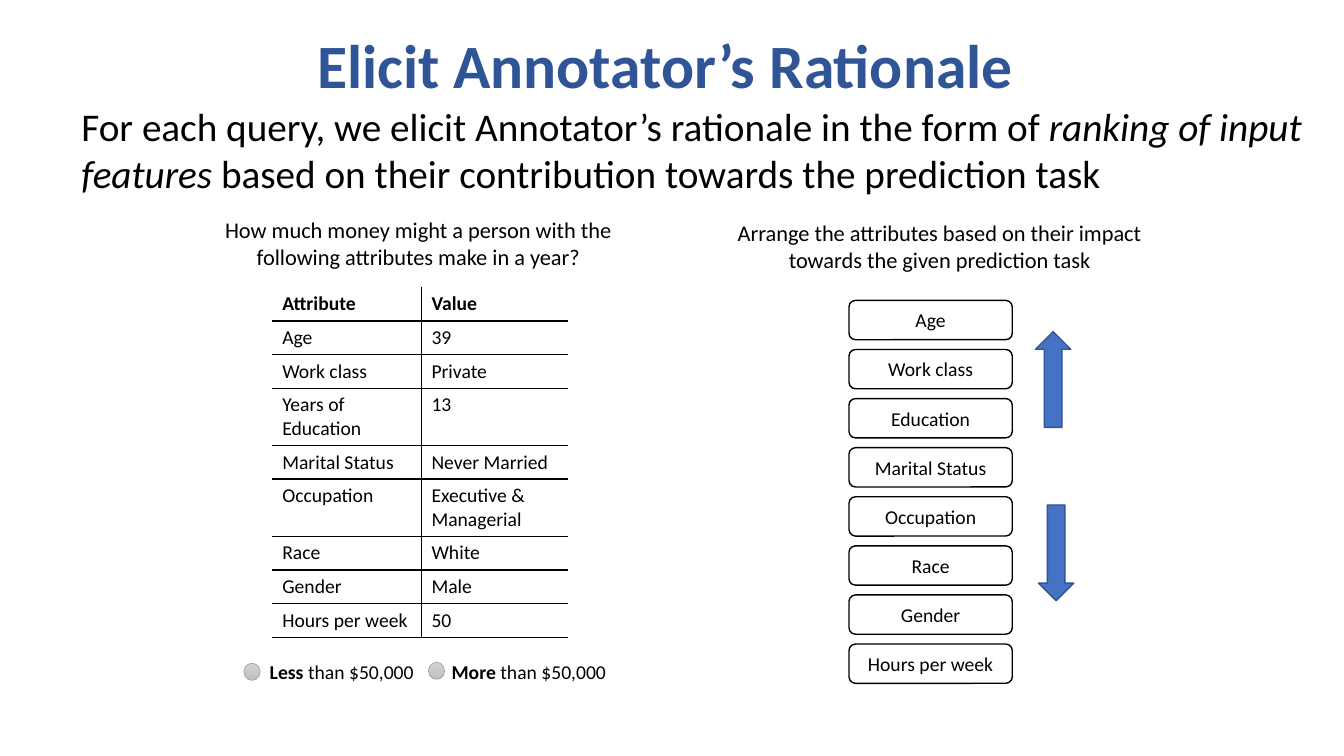
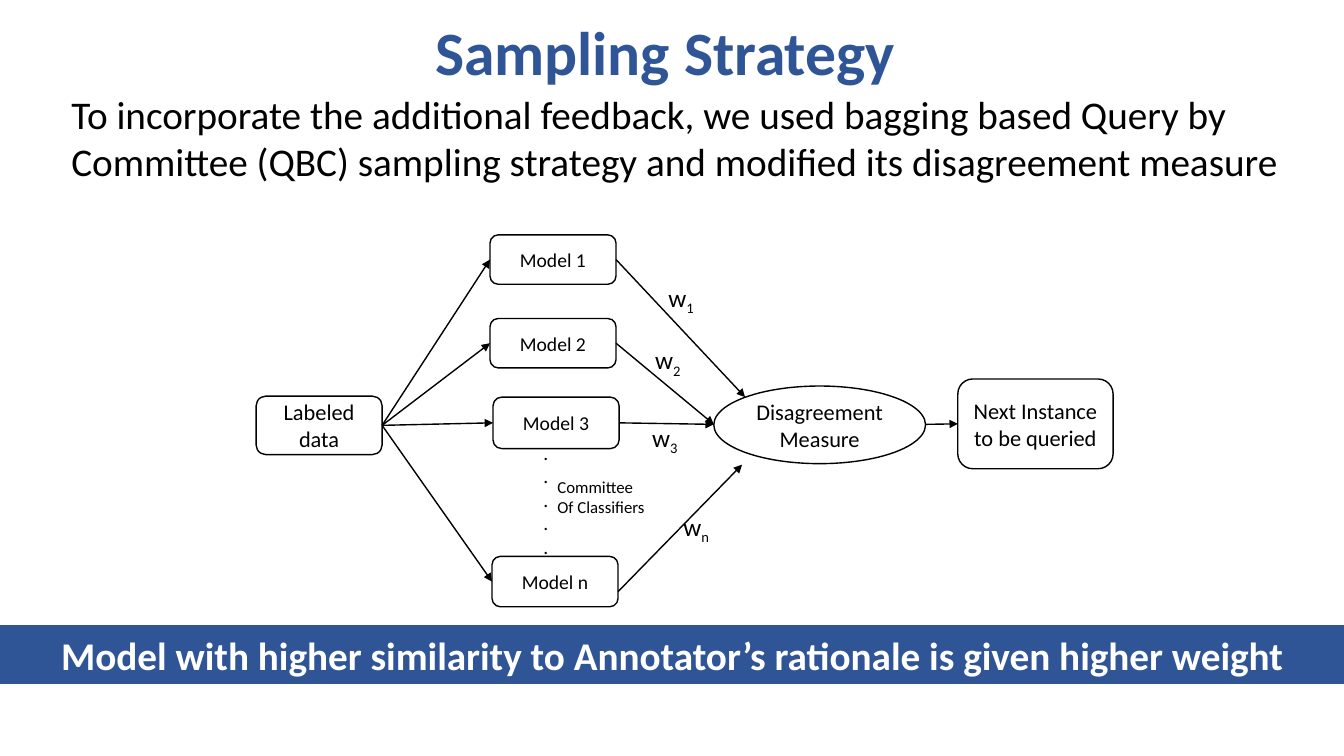
from lxml import etree
from pptx import Presentation
from pptx.dml.color import RGBColor
from pptx.enum.shapes import MSO_CONNECTOR, MSO_SHAPE as Shape
from pptx.enum.text import MSO_ANCHOR as Anchor, PP_ALIGN as Align
from pptx.oxml.ns import qn
from pptx.util import Inches, Pt

FONT = "Calibri"
BLACK, WHITE = "000000", "FFFFFF"
NAVY, BLUE, BLUE_EDGE = "2F5597", "4472C4", "325491"
GREY_TOP, GREY_BOTTOM, GREY_EDGE = "D2D2D2", "C0C0C0", "A5A5A5"
LEFT_SITE, RIGHT_SITE = 1, 3


def rgb(color):
    return RGBColor.from_string(color)


# --- Text ---
def write(tf, lines, size, color=BLACK, align=Align.CENTER, bold=False):
    """Each line is a string or a list of (text, style); style is b, i, sub or ''."""
    for i, line in enumerate(lines):
        p = tf.paragraphs[0] if i == 0 else tf.add_paragraph()
        p.alignment = align
        for text, style in [(line, "")] if isinstance(line, str) else line:
            r = p.add_run()
            r.text = text
            r.font.name, r.font.size = FONT, Pt(size)
            r.font.color.rgb = rgb(color)
            r.font.bold = bold or style == "b"
            r.font.italic = style == "i"
            if style == "sub":
                r._r.get_or_add_rPr().set("baseline", "-25000")


def add_text(s, box, lines, size, align=Align.CENTER, wrap=True):
    tf = s.shapes.add_textbox(*map(Inches, box)).text_frame
    tf.word_wrap = wrap
    write(tf, lines, size, align=align)


def add_titled_slide(prs, title, top, body, body_box):
    s = prs.slides.add_slide(prs.slide_layouts[5])
    sp = s.shapes.title
    sp.left, sp.top, sp.width, sp.height = map(Inches, (0.71, top, 11.78, 1.05))
    tf = sp.text_frame
    tf.vertical_anchor = Anchor.MIDDLE
    write(tf, [title], 44, NAVY, bold=True)
    tf.paragraphs[0].line_spacing = 0.9
    add_text(s, body_box, [body], 28, Align.LEFT)
    return s


# --- Shapes and arrows ---
def add_shape(s, kind, box, fill=WHITE, edge=BLACK, weight=1):
    sp = s.shapes.add_shape(kind, *map(Inches, box))
    sp.shadow.inherit = False
    sp.fill.solid()
    sp.fill.fore_color.rgb = rgb(fill)
    sp.line.color.rgb = rgb(edge)
    sp.line.width = Pt(weight)
    return sp


def add_node(s, box, lines, size=14, kind=Shape.ROUNDED_RECTANGLE):
    sp = add_shape(s, kind, box)
    sp.text_frame.vertical_anchor = Anchor.MIDDLE
    write(sp.text_frame, lines, size)
    return sp


def add_radio(s, left, top):
    sp = add_shape(s, Shape.OVAL, (left, top, 0.16, 0.17), edge=GREY_EDGE, weight=0.5)
    sp.fill.gradient()
    sp.fill.gradient_angle = 270
    for stop, color in zip(sp.fill.gradient_stops, (GREY_TOP, GREY_BOTTOM)):
        stop.color.rgb = rgb(color)


def add_arrow(s, source, target):
    """An end is an (x, y) point, or a node: leave at its right, arrive at its left."""
    start = source if isinstance(source, tuple) else (0, 0)
    end = target if isinstance(target, tuple) else (0, 0)
    line = s.shapes.add_connector(MSO_CONNECTOR.STRAIGHT, *map(Inches, start + end))
    if source is not start:
        line.begin_connect(source, RIGHT_SITE)
    if target is not end:
        line.end_connect(target, LEFT_SITE)
    line.line.color.rgb = rgb(BLACK)
    line.line.width = Pt(1)
    etree.SubElement(line.line._get_or_add_ln(), qn("a:tailEnd"), type="triangle")
    etree.SubElement(line._element.spPr, qn("a:effectLst"))


# --- Table ---
def set_borders(cell, sides):
    tc_pr = cell._tc.get_or_add_tcPr()
    for side in "LRTB":
        ln = etree.SubElement(tc_pr, qn(f"a:ln{side}"), w=str(Pt(1)))
        if side in sides:
            fill = etree.SubElement(ln, qn("a:solidFill"))
            etree.SubElement(fill, qn("a:srgbClr"), val=BLACK)
        else:
            etree.SubElement(ln, qn("a:noFill"))


def add_attribute_table(s, rows):
    frame = s.shapes.add_table(len(rows), 2, *map(Inches, (2.7, 2.85, 2.93, 3.23)))
    table = frame.table
    table.first_row = table.horz_banding = False
    for column, width in zip(table.columns, (1.48, 1.45)):
        column.width = Inches(width)
    for i, row in enumerate(rows):
        table.rows[i].height = Inches(0.53 if row[0] in TALL_ROWS else 0.31)
        for j, text in enumerate(row):
            cell = table.cell(i, j)
            set_borders(cell, "RL"[j] + "B" + ("T" if i else ""))
            cell.fill.background()
            write(cell.text_frame, [text], 14, align=Align.LEFT, bold=i == 0)


# --- Content ---
TALL_ROWS = ("Years of Education", "Occupation")
ATTRIBUTES = [
    ("Attribute", "Value"),
    ("Age", "39"),
    ("Work class", "Private"),
    ("Years of Education", "13"),
    ("Marital Status", "Never Married"),
    ("Occupation", "Executive & Managerial"),
    ("Race", "White"),
    ("Gender", "Male"),
    ("Hours per week", "50"),
]
RANKING = ["Age", "Work class", "Education", "Marital Status", "Occupation",
           "Race", "Gender", "Hours per week"]


def rationale_slide(prs):
    body = [("For each query, we elicit Annotator’s rationale in the form of ", ""),
            ("ranking of input features", "i"),
            (" based on their contribution towards the prediction task", "")]
    s = add_titled_slide(prs, "Elicit Annotator’s Rationale", 0.16,
                         body, (0.71, 0.97, 12.5, 1.04))

    # Question with answer choices
    add_text(s, (1.79, 2.1, 4.72, 0.64), ["How much money might a person with the "
             "following attributes make in a year?"], 16)
    add_attribute_table(s, ATTRIBUTES)
    for word, left, width, dot_left, dot_top in (("Less", 2.22, 2.34, 2.42, 6.58),
                                                 ("More", 4.19, 2.11, 4.25, 6.57)):
        add_text(s, (left, 6.5, width, 0.34), [[(word, "b"), (" than $50,000", "")]], 14)
        add_radio(s, dot_left, dot_top)

    # Ranking list
    add_text(s, (7.2, 2.13, 4.24, 0.64), ["Arrange the attributes based on their impact "
             "towards the given prediction task"], 16)
    for i, name in enumerate(RANKING):
        add_node(s, (8.42, 2.98 + i * 0.487, 1.62, 0.39), [name])
    add_shape(s, Shape.UP_ARROW, (10.27, 3.29, 0.35, 0.95), BLUE, BLUE_EDGE)
    add_shape(s, Shape.DOWN_ARROW, (10.3, 5.01, 0.35, 0.95), BLUE, BLUE_EDGE)


def sampling_slide(prs):
    s = add_titled_slide(
        prs, "Sampling Strategy", 0.03,
        "To incorporate the additional feedback, we used bagging based Query by "
        "Committee (QBC) sampling strategy and modified its disagreement measure",
        (0.61, 0.85, 12.22, 1.04))

    # Data, measure and result
    data = add_node(s, (2.54, 3.93, 1.25, 0.58), ["Labeled", "data"], 16)
    add_node(s, (7.08, 3.83, 2.1, 0.77), ["Disagreement", "Measure"], 16, Shape.OVAL)
    result = add_node(s, (9.5, 3.76, 1.54, 0.89), ["Next Instance", "to be queried"], 16)
    add_arrow(s, (9.18, 4.21), result)

    # Committee: model position, arrow tip on the measure, weight label position
    for name, left, top, height, tip, label in (
            ("1", 4.86, 2.33, 0.49, (7.39, 3.94), (6.53, 2.75)),
            ("2", 4.86, 3.16, 0.49, (7.08, 4.21), (6.4, 3.37)),
            ("3", 4.89, 3.94, 0.51, (7.08, 4.21), (6.37, 4.14)),
            ("n", 4.88, 5.52, 0.5, (7.36, 4.61), (6.68, 5.02))):
        model = add_node(s, (left, top, 1.25, height), [f"Model {name}"])
        add_arrow(s, data, model)
        add_arrow(s, (6.13, 5.87) if name == "n" else model, tip)
        add_text(s, label + (0.47, 0.4), [[("w", ""), (name, "sub")]], 18,
                 Align.LEFT, wrap=False)
    add_text(s, (5.29, 4.32, 0.25, 1.28), ["."] * 5, 14, Align.LEFT, wrap=False)
    add_text(s, (5.43, 4.68, 1.09, 0.5), ["Committee", "Of Classifiers"], 12, Align.LEFT)

    # Takeaway band
    band = add_shape(s, Shape.RECTANGLE, (0, 6.21, 13.33, 0.57), NAVY, BLUE_EDGE)
    band.text_frame.vertical_anchor = Anchor.MIDDLE
    write(band.text_frame, ["Model with higher similarity to Annotator’s rationale "
                            "is given higher weight"], 28, WHITE, bold=True)


def main():
    prs = Presentation()
    prs.slide_width, prs.slide_height = Inches(13.33), Inches(7.5)
    rationale_slide(prs)
    sampling_slide(prs)
    prs.save("out.pptx")


if __name__ == "__main__":
    main()
